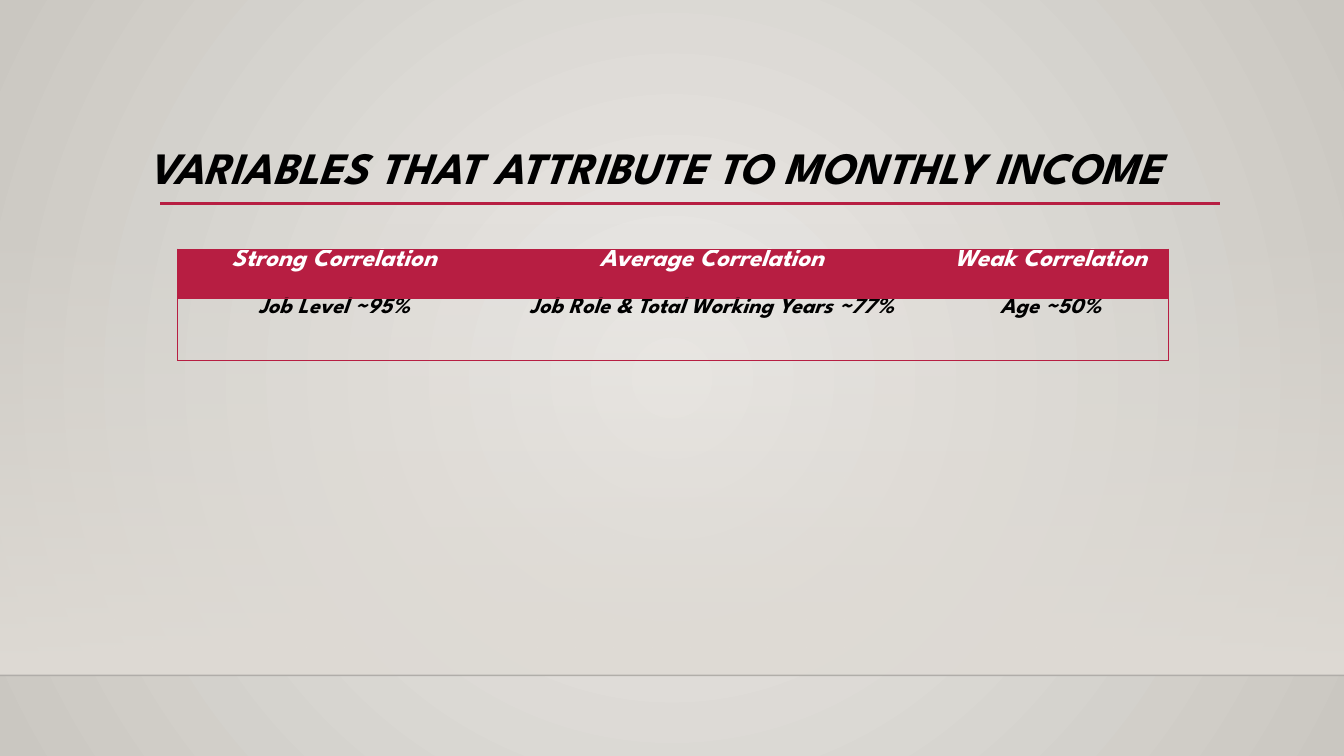
from lxml import etree
from pptx import Presentation
from pptx.dml.color import RGBColor
from pptx.enum.shapes import MSO_CONNECTOR, MSO_SHAPE
from pptx.enum.text import MSO_ANCHOR, PP_ALIGN
from pptx.oxml.ns import qn
from pptx.util import Inches, Pt

STRAIGHT = MSO_CONNECTOR.STRAIGHT
RECTANGLE = MSO_SHAPE.RECTANGLE
TOP = MSO_ANCHOR.TOP
LEFT, CENTER = PP_ALIGN.LEFT, PP_ALIGN.CENTER

SLIDE_W, SLIDE_H = 13.33, 7.5
FONT = "League Spartan"
COLORS = {
    "glow": "ECEAE7",
    "edge": "CAC7C1",
    "floor": "DFDBD5",
    "floor_line": "000001",
    "accent": "B71E42",
    "text": "000000",
    "header_text": "FFFFFF",
}
COLUMN_WIDTHS = [3.11, 4.38, 2.34]
ROW_HEIGHTS = [0.49, 0.62]
CORRELATIONS = [
    ["Strong Correlation", "Average Correlation", "Weak Correlation"],
    ["Job Level ~95%", "Job Role & Total Working Years ~77%", "Age ~50%"],
]


def rgb(name):
    return RGBColor.from_string(COLORS[name])


def write_text(frame, text, size, color="text", align=LEFT, spacing=None):
    paragraph = frame.paragraphs[0]
    paragraph.alignment = align
    paragraph.line_spacing = spacing
    run = paragraph.add_run()
    run.text = text
    font = run.font
    font.name, font.size = FONT, Pt(size)
    font.bold = font.italic = True
    font.color.rgb = rgb(color)


def set_gradient(fill, first, last):
    fill.gradient()
    for stop, color, position in zip(fill.gradient_stops, (first, last), (0, 1)):
        stop.color.rgb = rgb(color)
        stop.position = position


def set_alpha(color_element, percent):
    etree.SubElement(color_element, qn("a:alpha"), val=str(percent * 1000))


def add_rule(slide, left, top, width, color, weight):
    rule = slide.shapes.add_connector(
        STRAIGHT, Inches(left), Inches(top), Inches(left + width), Inches(top))
    rule.line.color.rgb = rgb(color)
    rule.line.width = Pt(weight)
    etree.SubElement(rule._element.spPr, qn("a:effectLst"))
    return rule


def add_backdrop(slide, left, top, width, height):
    # Radial glow behind everything
    fill = slide.background.fill
    set_gradient(fill, "glow", "edge")
    linear = next(slide._element.iter(qn("a:lin")))
    radial = etree.Element(qn("a:path"), attrib={"path": "circle"})
    etree.SubElement(radial, qn("a:fillToRect"), l="50000", t="50000", r="50000", b="50000")
    linear.getparent().replace(linear, radial)

    # Floor fading in from the top
    floor = slide.shapes.add_shape(
        RECTANGLE, Inches(left), Inches(top), Inches(width), Inches(height))
    floor.shadow.inherit = False
    floor.line.fill.background()
    set_gradient(floor.fill, "floor", "floor")
    floor.fill.gradient_angle = 270
    set_alpha(next(floor._element.spPr.iter(qn("a:srgbClr"))), 0)

    # Faint line at the floor's edge
    floor_line = add_rule(slide, left, top + height, width, "floor_line", 1)
    set_alpha(next(floor_line._element.spPr.iter(qn("a:srgbClr"))), 20)


def add_title(slide, left, top, width, height):
    add_rule(slide, left + 0.23, top + 0.62, 10.51, "accent", 2.5)
    title = slide.shapes.add_textbox(
        Inches(left), Inches(top), Inches(width), Inches(height))
    frame = title.text_frame
    frame.word_wrap = True
    frame.vertical_anchor = TOP
    write_text(frame, "VARIABLES THAT ATTRIBUTE TO MONTHLY INCOME", 32, spacing=0.9)


def set_borders(cell, visible):
    properties = cell._tc.get_or_add_tcPr()
    for index, side in enumerate("LRTB"):
        border = etree.Element(qn(f"a:ln{side}"), w=str(Pt(0.75)))
        if side in visible:
            solid = etree.SubElement(border, qn("a:solidFill"))
            etree.SubElement(solid, qn("a:srgbClr"), val=COLORS["accent"])
        else:
            etree.SubElement(border, qn("a:noFill"))
        properties.insert(index, border)


def add_correlation_table(slide, left, top):
    last_column = len(COLUMN_WIDTHS) - 1
    table = slide.shapes.add_table(
        len(ROW_HEIGHTS), len(COLUMN_WIDTHS), Inches(left), Inches(top),
        Inches(sum(COLUMN_WIDTHS)), Inches(sum(ROW_HEIGHTS))).table
    table.first_row = table.horz_banding = False
    for column, width in zip(table.columns, COLUMN_WIDTHS):
        column.width = Inches(width)
    for row, height in zip(table.rows, ROW_HEIGHTS):
        row.height = Inches(height)

    for r, labels in enumerate(CORRELATIONS):
        for c, label in enumerate(labels):
            cell = table.cell(r, c)
            cell.margin_top = cell.margin_bottom = 0
            cell.vertical_anchor = TOP
            if r == 0:
                cell.fill.solid()
                cell.fill.fore_color.rgb = rgb("accent")
                write_text(cell.text_frame, label, 18, color="header_text", align=CENTER)
            else:
                cell.fill.background()
                write_text(cell.text_frame, label, 16, align=CENTER)
            sides = {0: "L", last_column: "R"}.get(c, "")
            set_borders(cell, sides + "TB")


def main():
    presentation = Presentation()
    presentation.slide_width = Inches(SLIDE_W)
    presentation.slide_height = Inches(SLIDE_H)
    slide = presentation.slides.add_slide(presentation.slide_layouts[6])
    add_backdrop(slide, 0, 2.21, SLIDE_W, 4.49)
    add_title(slide, 1.36, 1.4, 10.61, 1.15)
    add_correlation_table(slide, 1.76, 2.47)
    presentation.save("out.pptx")


if __name__ == "__main__":
    main()
